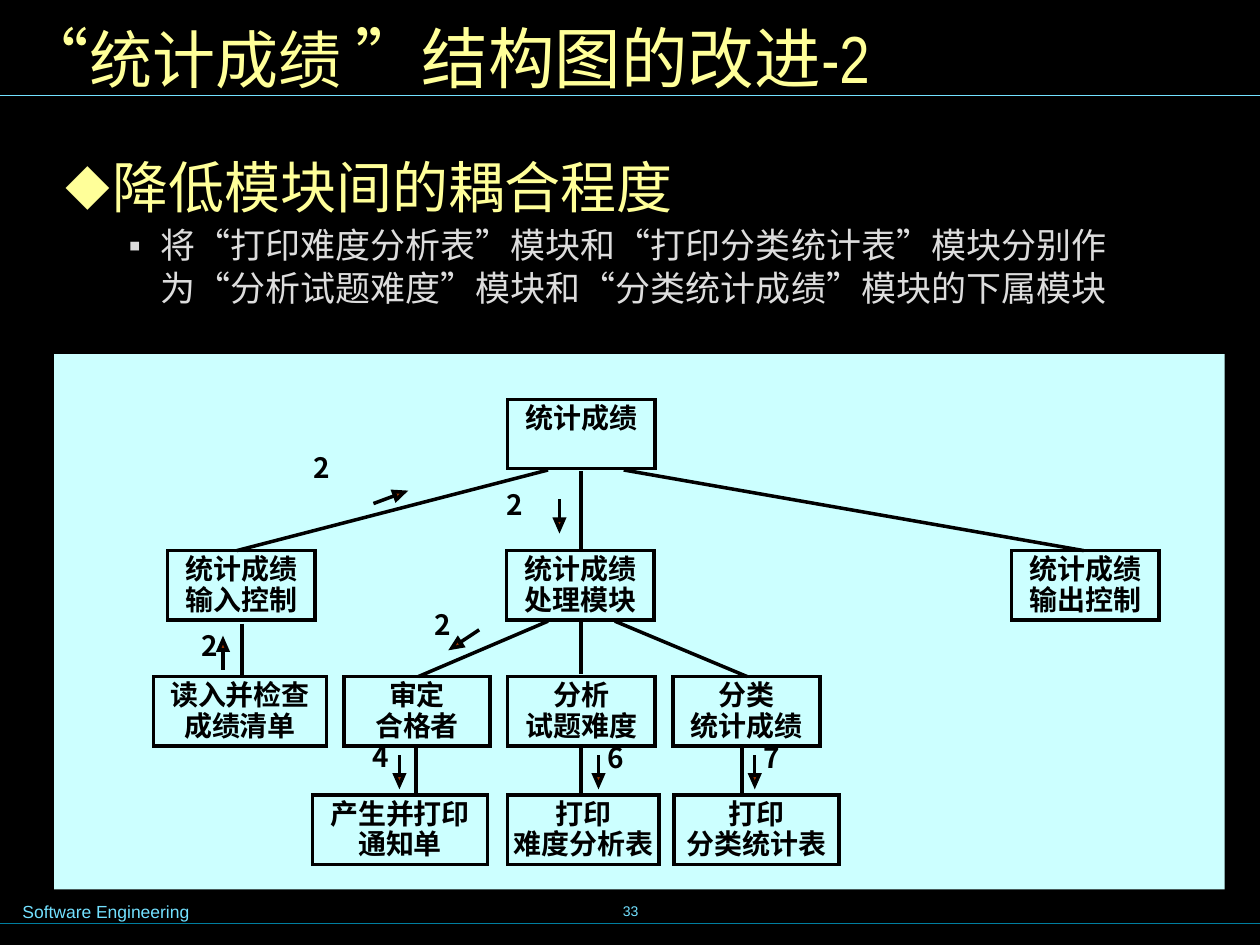
from math import cos, radians, sin
from typing import NamedTuple

from lxml.etree import SubElement
from pptx import Presentation
from pptx.dml.color import RGBColor
from pptx.enum.shapes import MSO_CONNECTOR, MSO_SHAPE
from pptx.enum.text import MSO_ANCHOR, MSO_AUTO_SIZE, PP_ALIGN
from pptx.oxml.ns import qn
from pptx.util import Inches, Pt

COLORS = {
    "background": "000000", "panel": "CCFFFF", "ink": "000000",
    "heading": "FFFF99", "detail": "DDDDDD", "accent": "73E1FF",
    "footer_rule": "007E9F", "arrowhead": "993300",
}
CJK_FONT = "Noto Sans CJK SC"
ROW_TOPS = (3.17, 4.37, 5.37, 6.31)
MODULE_HEIGHT = 0.55
HEAD_WIDTH, HEAD_HEIGHT = 0.07, 0.08


class Module(NamedTuple):
    row: int
    left: float
    width: float
    label: str


class Link(NamedTuple):
    x1: float
    y1: float
    x2: float
    y2: float


class Coupling(NamedTuple):
    """A data-flow arrow: head centre, clockwise angle from up, count and its place."""
    x: float
    y: float
    angle: float
    reach: float
    count: str
    count_left: float
    count_top: float
    count_width: float


MODULES = (
    Module(0, 4.03, 1.17, "统计成绩"),
    Module(1, 1.33, 1.17, "统计成绩\n输入控制"),
    Module(1, 4.02, 1.17, "统计成绩\n处理模块"),
    Module(1, 8.03, 1.17, "统计成绩\n输出控制"),
    Module(2, 1.22, 1.37, "读入并检查\n成绩清单"),
    Module(2, 2.73, 1.16, "审定\n合格者"),
    Module(2, 4.03, 1.17, "分析\n试题难度"),
    Module(2, 5.34, 1.17, "分类\n统计成绩"),
    Module(3, 2.48, 1.39, "产生并打印\n通知单"),
    Module(3, 4.03, 1.2, "打印\n难度分析表"),
    Module(3, 5.35, 1.31, "打印\n分类统计表"),
)
LINKS = (
    Link(4.35, 3.73, 1.88, 4.37), Link(4.61, 3.74, 4.61, 4.37),
    Link(4.95, 3.73, 8.6, 4.37), Link(1.92, 4.95, 1.92, 5.37),
    Link(4.35, 4.93, 3.32, 5.37), Link(4.61, 4.91, 4.61, 5.35),
    Link(4.88, 4.93, 5.93, 5.37), Link(3.3, 5.91, 3.3, 6.3),
    Link(4.61, 5.92, 4.61, 6.31), Link(5.89, 5.92, 5.89, 6.31),
)
COUPLINGS = (
    Coupling(3.17, 3.92, 69.6, 0.22, "2", 2.45, 3.59, 0.7),
    Coupling(4.44, 4.16, 180, 0.2, "2", 3.98, 3.88, 1.47),
    Coupling(1.77, 5.12, 0, 0.2, "2", 1.56, 5, 0.46),
    Coupling(3.62, 5.12, 236.5, 0.22, "2", 3.41, 4.83, 0.38),
    Coupling(3.17, 6.19, 180, 0.2, "4", 2.92, 5.88, 0.92),
    Coupling(4.75, 6.19, 180, 0.2, "6", 4.78, 5.89, 0.3),
    Coupling(5.99, 6.19, 180, 0.2, "7", 6.02, 5.89, 0.3),
)


def rgb(role: str) -> RGBColor:
    return RGBColor.from_string(COLORS[role])


def format_runs(paragraph, font: str, size: float, role: str, bold: bool = False) -> None:
    for run in paragraph.runs:
        run.font.size = Pt(size)
        run.font.bold = bold
        run.font.color.rgb = rgb(role)
        run.font.name = font
        SubElement(run.font._element, qn("a:ea"), typeface=CJK_FONT)


def set_margins(frame, horizontal: float, vertical: float) -> None:
    frame.margin_left = frame.margin_right = Inches(horizontal)
    frame.margin_top = frame.margin_bottom = Inches(vertical)


def add_label(slide, text: str, left: float, top: float, width: float, height: float):
    box = slide.shapes.add_textbox(Inches(left), Inches(top), Inches(width), Inches(height))
    frame = box.text_frame
    frame.word_wrap = True
    frame.text = text
    return frame


def add_line(slide, link: Link, role: str = "ink", weight: float = 2) -> None:
    line = slide.shapes.add_connector(MSO_CONNECTOR.STRAIGHT, *map(Inches, link))
    line.line.color.rgb = rgb(role)
    line.line.width = Pt(weight)
    SubElement(line._element.spPr, qn("a:effectLst"))


def outline_sharply(shape) -> None:
    """Give the shape a black outline with mitred corners and no shadow."""
    shape.line.color.rgb = rgb("ink")
    shape.line.width = Pt(2)
    SubElement(shape._element.spPr.find(qn("a:ln")), qn("a:miter"), lim="800000")
    shape.shadow.inherit = False


def add_bullet(paragraph, mark: str, font: str, percent: int, role: str,
               indent: float, hanging: float) -> None:
    properties = paragraph._p.get_or_add_pPr()
    properties.set("marL", str(Inches(indent)))
    properties.set("indent", str(-Inches(hanging)))
    color = SubElement(properties, qn("a:buClr"))
    SubElement(color, qn("a:srgbClr"), val=COLORS[role])
    SubElement(properties, qn("a:buSzPct"), val=str(percent * 1000))
    SubElement(properties, qn("a:buFont"), typeface=font)
    SubElement(properties, qn("a:buChar"), char=mark)


def add_module(slide, module: Module) -> None:
    box = slide.shapes.add_shape(
        MSO_SHAPE.RECTANGLE, Inches(module.left), Inches(ROW_TOPS[module.row]),
        Inches(module.width), Inches(MODULE_HEIGHT))
    box.fill.background()
    outline_sharply(box)
    frame = box.text_frame
    frame.text = module.label
    frame.vertical_anchor = MSO_ANCHOR.TOP
    set_margins(frame, 0.02, 0.04)
    for paragraph in frame.paragraphs:
        paragraph.alignment = PP_ALIGN.CENTER
        paragraph.line_spacing = 0.9
        format_runs(paragraph, "Times New Roman", 16, "ink", True)


def add_coupling(slide, flow: Coupling) -> None:
    frame = add_label(slide, flow.count, flow.count_left, flow.count_top, flow.count_width, 0.44)
    set_margins(frame, 0.04, 0.04)
    count = frame.paragraphs[0]
    count.alignment = PP_ALIGN.JUSTIFY
    count.line_spacing = 0.8
    format_runs(count, CJK_FONT, 16, "ink", True)

    head = slide.shapes.add_shape(
        MSO_SHAPE.ISOSCELES_TRIANGLE, Inches(flow.x - HEAD_WIDTH / 2),
        Inches(flow.y - HEAD_HEIGHT / 2), Inches(HEAD_WIDTH), Inches(HEAD_HEIGHT))
    head.rotation = flow.angle
    head.fill.solid()
    head.fill.fore_color.rgb = rgb("arrowhead")
    outline_sharply(head)

    dx, dy = sin(radians(flow.angle)), -cos(radians(flow.angle))
    add_line(slide, Link(flow.x - 0.02 * dx, flow.y - 0.02 * dy,
                         flow.x - flow.reach * dx, flow.y - flow.reach * dy))


def add_title(slide) -> None:
    title = slide.shapes.title
    title.left, title.top, title.width, title.height = map(Inches, (0.08, 0.08, 9.84, 0.75))
    frame = title.text_frame
    frame.auto_size = MSO_AUTO_SIZE.NONE
    frame.vertical_anchor = MSO_ANCHOR.MIDDLE
    heading = frame.paragraphs[0]
    heading.alignment = PP_ALIGN.LEFT
    for part in ("“", "统计成绩 ", "”结构图的改进-2"):
        heading.add_run().text = part
    format_runs(heading, "Arial Narrow", 38, "heading")
    heading.runs[1].font.size = Pt(36)


def add_body(slide) -> None:
    frame = add_label(
        slide,
        "降低模块间的耦合程度\n将“打印难度分析表”模块和“打印分类统计表”模块分别作为"
        "“分析试题难度”模块和“分类统计成绩”模块的下属模块",
        0.4, 1.15, 9.29, 1.57)
    set_margins(frame, 0.12, 0.06)
    frame.margin_right = Inches(0.7)
    goal, method = frame.paragraphs
    add_bullet(goal, "◆", CJK_FONT, 80, "heading", 0.37, 0.37)
    add_bullet(method, "▪", "Arial", 100, "detail", 0.75, 0.25)
    method.level = 1
    method.space_before = Pt(2.5)
    format_runs(goal, "Arial", 32, "heading")
    format_runs(method, "Arial", 20, "detail")


def add_footer(slide) -> None:
    add_line(slide, Link(0, 7.33, 10, 7.33), "footer_rule", 0.75)
    course = add_label(slide, "Software Engineering", 0.08, 7.1, 2.95, 0.27)
    format_runs(course.paragraphs[0], "Arial", 10, "accent")
    number = add_label(slide, "33", 3.42, 6.98, 3.17, 0.5)
    number.vertical_anchor = MSO_ANCHOR.MIDDLE
    number.paragraphs[0].alignment = PP_ALIGN.CENTER
    format_runs(number.paragraphs[0], "Arial", 8, "accent")


def add_panel(slide) -> None:
    panel = slide.shapes.add_shape(
        MSO_SHAPE.RECTANGLE, Inches(0.43), Inches(2.81), Inches(9.29), Inches(4.25))
    panel.shadow.inherit = False
    panel.fill.solid()
    panel.fill.fore_color.rgb = rgb("panel")
    panel.line.fill.background()


def main() -> None:
    deck = Presentation()
    deck.slide_width, deck.slide_height = Inches(10), Inches(7.5)
    slide = deck.slides.add_slide(deck.slide_layouts[5])
    slide.background.fill.solid()
    slide.background.fill.fore_color.rgb = rgb("background")
    add_footer(slide)
    add_line(slide, Link(0, 0.76, 10, 0.76), "accent", 0.75)
    add_panel(slide)
    add_title(slide)
    add_body(slide)
    for link in LINKS:
        add_line(slide, link)
    for module in MODULES:
        add_module(slide, module)
    for flow in COUPLINGS:
        add_coupling(slide, flow)
    deck.save("out.pptx")


if __name__ == "__main__":
    main()
